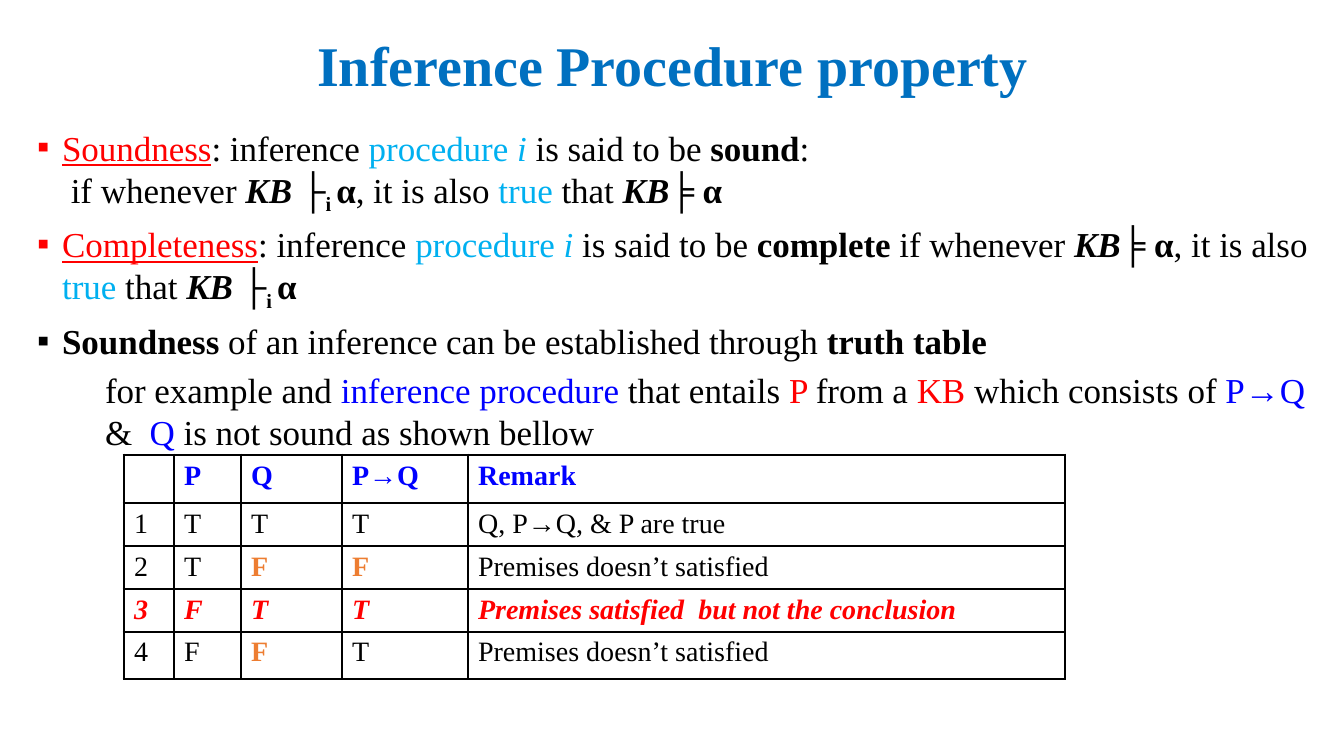
"""Build the slide on soundness and completeness of inference procedures."""
from lxml.etree import SubElement
from pptx import Presentation
from pptx.dml.color import RGBColor
from pptx.enum.text import MSO_ANCHOR, MSO_AUTO_SIZE, PP_ALIGN
from pptx.oxml.ns import qn
from pptx.util import Pt

FONT = "Times New Roman"
COLORS = {"black": "000000", "red": "FF0000", "sky": "00B0F0", "blue": "0000FF",
          "title": "0070C0", "orange": "ED7D31"}
TITLE = "Inference Procedure property"
PROVES = [("KB ", "bold italic"), ("├", "bold"), ("i ", "bold sub"), ("α", "bold")]
ENTAILS = [("KB", "bold italic"), ("╞ α", "bold")]
PROCEDURE = [(": inference ", ""), ("procedure ", "sky"), ("i", "sky italic"),
             (" is said to be ", "")]
TRUE_THAT = [(", it is also ", ""), ("true", "sky"), (" that ", "")]
BULLETS = [
    [("Soundness", "red underline"), *PROCEDURE, ("sound", "bold"), (":", ""),
     ("\n", ""), (" if whenever ", ""), *PROVES, *TRUE_THAT, *ENTAILS],
    [("Completeness", "red underline"), *PROCEDURE, ("complete ", "bold"),
     ("if whenever ", ""), *ENTAILS, *TRUE_THAT, *PROVES],
    [("Soundness ", "bold"), ("of an inference can be established through", ""),
     (" truth table", "bold")],
]
EXAMPLE = [("for example and ", ""), ("inference procedure", "blue"),
           (" that entails ", ""), ("P ", "red"), ("from a ", ""), ("KB ", "red"),
           ("which consists of ", ""), ("P→Q", "blue"), (" &  ", ""), ("Q", "blue"),
           (" is not sound as shown bellow", "")]
ROWS = [
    ("", "P", "Q", "P→Q", "Remark"),
    ("1", "T", "T", "T", "Q, P→Q, & P are true"),
    ("2", "T", "F", "F", "Premises doesn’t satisfied"),
    ("3", "F", "T", "T", "Premises satisfied  but not the conclusion"),
    ("4", "F", "F", "T", "Premises doesn’t satisfied"),
]
ROW_STYLES = {0: "blue bold", 3: "red bold italic"}
CELL_STYLES = {(2, 2): "orange bold", (2, 3): "orange bold", (4, 2): "orange bold"}
COL_WIDTHS = [50, 67, 101, 126, 597]
ROW_HEIGHTS = [48, 43, 43, 43, 47]
THIN, THICK = 1, 2.25


def px(n):
    return round(n * 914400 / 100.8)


def place(shape, *box):
    shape.left, shape.top, shape.width, shape.height = map(px, box)


def add_run(p, text, style, size):
    if text == "\n":
        p.add_line_break()
        SubElement(p._p[-1], qn("a:rPr"), sz=str(size * 100))
        return
    words = style.split()
    r = p.add_run()
    r.text = text
    r.font.name, r.font.size = FONT, Pt(size)
    r.font.bold, r.font.italic = "bold" in words, "italic" in words
    r.font.underline = "underline" in words
    color = next((w for w in words if w in COLORS), "black")
    r.font.color.rgb = RGBColor.from_string(COLORS[color])
    if "sub" in words:
        r._r.get_or_add_rPr().set("baseline", "-25000")


def set_indent(p, left, hanging, bullet=None):
    pPr = p._p.get_or_add_pPr()
    pPr.set("marL", str(px(left)))
    pPr.set("indent", str(-px(hanging)))
    if bullet:
        SubElement(pPr, qn("a:buFont"), typeface=FONT)
        SubElement(pPr, qn("a:buChar"), char=bullet)
    else:
        SubElement(pPr, qn("a:buNone"))


def set_borders(cell, widths):
    for side, width in zip("LRTB", widths):
        ln = SubElement(cell._tc.get_or_add_tcPr(), qn(f"a:ln{side}"), w=str(Pt(width)))
        fill = SubElement(ln, qn("a:solidFill"))
        SubElement(fill, qn("a:srgbClr"), val=COLORS["black"])


def add_title(s):
    place(s.shapes.title, 93, 23, 1159, 91)
    tf = s.shapes.title.text_frame
    tf.vertical_anchor = MSO_ANCHOR.MIDDLE
    p = tf.paragraphs[0]
    p.alignment, p.line_spacing = PP_ALIGN.CENTER, 0.9
    add_run(p, TITLE, "title bold", 40)


def add_body(s):
    body = s.placeholders[1]
    place(body, 27, 121, 1298, 560)
    tf = body.text_frame
    tf.auto_size = MSO_AUTO_SIZE.NONE
    for i, runs in enumerate([*BULLETS, EXAMPLE]):
        p = tf.add_paragraph() if i else tf.paragraphs[0]
        if runs is EXAMPLE:
            set_indent(p, 68, 0)
        else:
            set_indent(p, 25, 25, "▪")
        for text, style in runs:
            add_run(p, text, style, 25)


def add_truth_table(s):
    box = 124, 455, sum(COL_WIDTHS), sum(ROW_HEIGHTS)
    table = s.shapes.add_table(len(ROWS), len(COL_WIDTHS), *map(px, box)).table
    table.first_row = table.horz_banding = False
    for col, width in zip(table.columns, COL_WIDTHS):
        col.width = px(width)
    for row, height in zip(table.rows, ROW_HEIGHTS):
        row.height = px(height)
    last_row, last_col = len(ROWS) - 1, len(COL_WIDTHS) - 1
    for i, row in enumerate(ROWS):
        for j, text in enumerate(row):
            cell = table.cell(i, j)
            outer = j == 0, j == last_col, i == 0, i == last_row
            set_borders(cell, [THICK if edge else THIN for edge in outer])
            cell.fill.background()
            if text:
                style = CELL_STYLES.get((i, j), ROW_STYLES.get(i, ""))
                add_run(cell.text_frame.paragraphs[0], text, style, 20)


def main():
    prs = Presentation()
    prs.slide_width, prs.slide_height = px(1344), px(756)
    s = prs.slides.add_slide(prs.slide_layouts[1])
    add_title(s)
    add_body(s)
    add_truth_table(s)
    prs.save("out.pptx")


if __name__ == "__main__":
    main()
